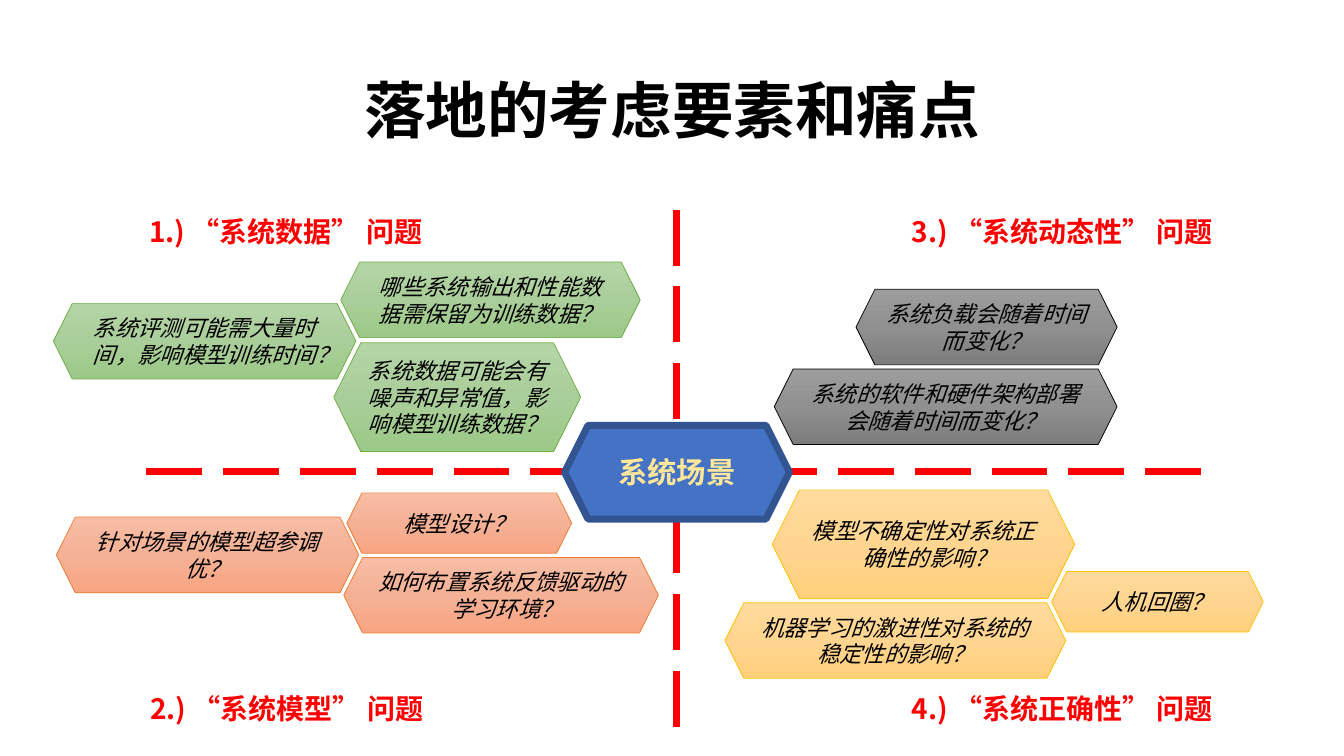
from copy import deepcopy

from pptx import Presentation
from pptx.dml.color import RGBColor
from pptx.enum.dml import MSO_LINE
from pptx.enum.lang import MSO_LANGUAGE_ID as LANGUAGE
from pptx.enum.shapes import MSO_CONNECTOR, MSO_SHAPE
from pptx.enum.text import MSO_ANCHOR, PP_ALIGN
from pptx.oxml.ns import qn
from pptx.util import Inches, Pt

FONT = "Noto Sans CJK TC"
RED = "FF0000"
BLACK = "000000"

TITLE = {"size": Pt(44), "bold": True}
HEADING = {"size": Pt(20), "bold": True}
SCENE = {"size": Pt(21), "bold": True}
QUESTION = {"size": Pt(16), "italic": True}

GREEN = ("B5D5A7", "AACE9A", "9CC987"), "70AD47"
ORANGE = ("F7BDA5", "F5B196", "F8A582"), "ED7D31"
GREY = ("9D9D9D", "909090", "7C7C7C"), BLACK
GOLD = ("FFDB9E", "FFD590", "FFD07C"), "FFC000"

QUESTIONS = [
    (GREEN, [
        ((3.31, 3.4, 2.45, 1.08), "系统数据可能会有噪声和异常值，影响模型训练数据？"),
        ((0.53, 3.01, 3, 0.75), "系统评测可能需大量时间，影响模型训练时间？"),
        ((3.38, 2.6, 2.97, 0.75), "哪些系统输出和性能数据需保留为训练数据？"),
    ]),
    (GREY, [
        ((8.49, 2.87, 2.59, 0.75), "系统负载会随着时间而变化？"),
        ((7.68, 3.66, 3.4, 0.75), "系统的软件和硬件架构部署会随着时间而变化？"),
    ]),
    (GOLD, [
        ((7.66, 4.86, 3, 1.08), "模型不确定性对系统正确性的影响?"),
        ((7.19, 5.98, 3.38, 0.75), "机器学习的激进性对系统的稳定性的影响？"),
        ((10.43, 5.67, 2.1, 0.6), "人机回圈？"),
    ]),
    (ORANGE, [
        ((3.44, 4.89, 2.23, 0.6), "模型设计？"),
        ((3.41, 5.53, 3.12, 0.75), "如何布置系统反馈驱动的学习环境?"),
        ((0.56, 5.13, 3, 0.75), "针对场景的模型超参调优？"),
    ]),
]

HEADINGS = [
    ((1.38, 2, 5.21, 0.59), "1.) “系统数据” 问题", PP_ALIGN.LEFT),
    ((1.39, 6.73, 5.21, 0.59), "2.) “系统模型” 问题", PP_ALIGN.LEFT),
    ((6.81, 2, 5.32, 0.59), "3.) “系统动态性” 问题", PP_ALIGN.RIGHT),
    ((6.81, 6.73, 5.32, 0.59), "4.) “系统正确性” 问题", PP_ALIGN.RIGHT),
]


def rgb(value):
    """Turn a hex string into a colour."""
    return RGBColor.from_string(value)


def inches(values):
    """Turn a sequence of numbers into lengths."""
    return [Inches(value) for value in values]


def write(shape, text, style, color, align=PP_ALIGN.CENTER):
    """Put one formatted, vertically centred paragraph in a shape."""
    frame = shape.text_frame
    frame.word_wrap = True
    frame.vertical_anchor = MSO_ANCHOR.MIDDLE
    paragraph = frame.paragraphs[0]
    paragraph.alignment = align
    run = paragraph.add_run()
    run.text = text
    font = run.font
    font.color.rgb = rgb(color)
    formats = {"name": FONT, "language_id": LANGUAGE.SIMPLIFIED_CHINESE, **style}
    for name, value in formats.items():
        setattr(font, name, value)
    properties = run._r.get_or_add_rPr()
    east_asian = properties.makeelement(qn("a:ea"), {"typeface": FONT})
    properties.find(qn("a:latin")).addnext(east_asian)
    return paragraph


def add_text(slide, box, text, style, color, align=PP_ALIGN.CENTER):
    """Add a text box and return its paragraph."""
    return write(slide.shapes.add_textbox(*inches(box)), text, style, color, align)


def add_divider(slide, start, end):
    """Add a dashed red line between two points."""
    line = slide.shapes.add_connector(MSO_CONNECTOR.STRAIGHT, *inches(start + end))
    line.line.color.rgb = rgb(RED)
    line.line.width = Pt(5)
    line.line.dash_style = MSO_LINE.LONG_DASH
    properties = line._element.spPr
    properties.append(properties.makeelement(qn("a:effectLst"), {}))


def add_hexagon(slide, box, border, width):
    """Add an outlined hexagon without a shadow."""
    shape = slide.shapes.add_shape(MSO_SHAPE.HEXAGON, *inches(box))
    shape.shadow.inherit = False
    shape.line.color.rgb = rgb(border)
    shape.line.width = Pt(width)
    return shape


def fill_gradient(shape, colors):
    """Fill a shape from top to bottom with evenly spaced colours."""
    shape.fill.gradient()
    shape.fill.gradient_angle = 270
    stop_list = shape._element.spPr.find(qn("a:gradFill")).find(qn("a:gsLst"))
    while len(stop_list) < len(colors):
        stop_list.append(deepcopy(stop_list[0]))
    for index, (stop, color) in enumerate(zip(shape.fill.gradient_stops, colors)):
        stop.position = index / (len(colors) - 1)
        stop.color.rgb = rgb(color)


def add_question(slide, box, text, palette):
    """Add a gradient hexagon holding a question."""
    colors, border = palette
    shape = add_hexagon(slide, box, border, 0.5)
    fill_gradient(shape, colors)
    for side in ("left", "top", "right", "bottom"):
        setattr(shape.text_frame, f"margin_{side}", 0)
    write(shape, text, QUESTION, BLACK)


def add_scene(slide):
    """Add the central hexagon."""
    shape = add_hexagon(slide, (5.6, 4.22, 2.23, 0.93), "325491", 5)
    shape.fill.solid()
    shape.fill.fore_color.rgb = rgb("4472C4")
    write(shape, "系统场景", SCENE, "FFE699")


def main():
    """Build and save the slide."""
    presentation = Presentation()
    presentation.slide_width = Inches(13.33)
    presentation.slide_height = Inches(7.5)
    slide = presentation.slides.add_slide(presentation.slide_layouts[6])

    add_divider(slide, (6.71, 2.08), (6.71, 7.38))
    add_divider(slide, (1.45, 4.68), (12.06, 4.68))
    title = add_text(slide, (0.92, 0.4, 11.5, 1.45), "落地的考虑要素和痛点", TITLE, BLACK)
    title.line_spacing = 0.9
    add_scene(slide)
    for palette, questions in QUESTIONS:
        for box, text in questions:
            add_question(slide, box, text, palette)
    for box, text, align in HEADINGS:
        add_text(slide, box, text, HEADING, RED, align)

    presentation.save("out.pptx")


if __name__ == "__main__":
    main()
